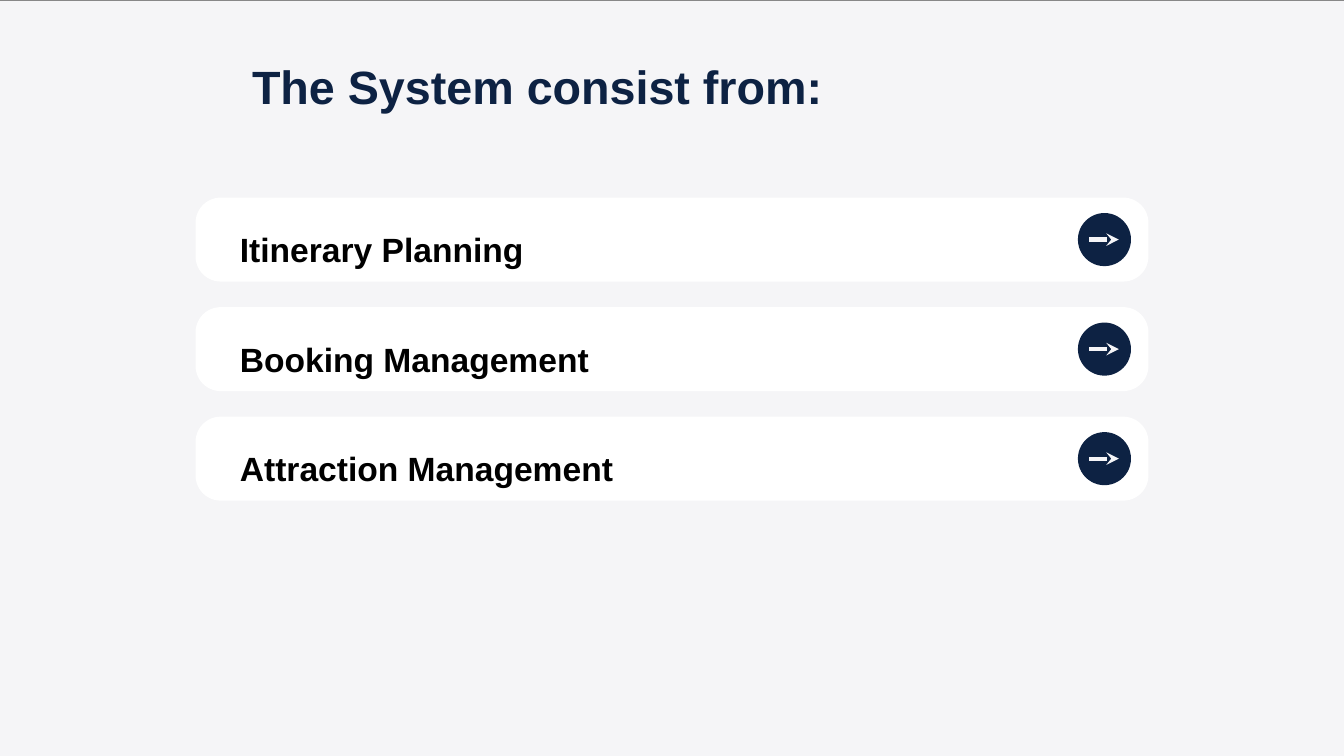
from dataclasses import dataclass

from pptx import Presentation
from pptx.dml.color import RGBColor
from pptx.enum.shapes import MSO_CONNECTOR, MSO_SHAPE
from pptx.enum.text import MSO_ANCHOR, MSO_AUTO_SIZE, PP_ALIGN
from pptx.oxml.ns import qn
from pptx.shapes.autoshape import Shape
from pptx.slide import Slide
from pptx.text.text import TextFrame
from pptx.util import Inches, Pt
from lxml.etree import SubElement

COLORS = {
    "back": "F5F5F7",
    "edge": "888888",
    "card": "FFFFFF",
    "navy": "0D2243",
    "text": "000000",
}
TOP, STEP = 2.94, 1.63  # first card and distance between cards
HIGH, DISC = 1.25, 0.79


@dataclass
class Card:
    label: str
    width: float


CARDS = [
    Card("Itinerary Planning", 9.41),
    Card("Booking Management", 6.21),
    Card("Attraction Management", 6.43),
]


def color(name: str) -> RGBColor:
    return RGBColor.from_string(COLORS[name])


def write(frame: TextFrame, text: str, size: int, ink: str, space: float,
          align: PP_ALIGN = PP_ALIGN.LEFT) -> None:
    frame.margin_left = frame.margin_right = 0
    frame.margin_top = frame.margin_bottom = 0
    frame.word_wrap = True
    frame.auto_size = MSO_AUTO_SIZE.NONE
    frame.vertical_anchor = MSO_ANCHOR.TOP
    para = frame.paragraphs[0]
    para.text = text
    para.alignment = align
    para.line_spacing = space
    para.font.name = "Arial"
    para.font.size = Pt(size)
    para.font.bold = True
    para.font.color.rgb = color(ink)


def add_form(slide: Slide, kind: MSO_SHAPE, left: float, top: float,
             width: float, height: float, fill: str) -> Shape:
    form = slide.shapes.add_shape(
        kind, Inches(left), Inches(top), Inches(width), Inches(height))
    form.shadow.inherit = False
    form.fill.solid()
    form.fill.fore_color.rgb = color(fill)
    form.line.fill.background()
    return form


def add_arrow(slide: Slide, left: float, right: float, y: float) -> None:
    arrow = slide.shapes.add_connector(
        MSO_CONNECTOR.STRAIGHT, Inches(left), Inches(y), Inches(right), Inches(y))
    arrow.line.color.rgb = color("back")
    arrow.line.width = Pt(4.5)
    SubElement(arrow.line._get_or_add_ln(), qn("a:tailEnd"), type="stealth")
    SubElement(arrow._element.spPr, qn("a:effectLst"))


def add_card(slide: Slide, card: Card, top: float) -> None:
    mid = top + HIGH / 2
    body = add_form(slide, MSO_SHAPE.ROUNDED_RECTANGLE, 2.91, top, 14.18, HIGH, "card")
    body.adjustments[0] = 0.3
    box = slide.shapes.add_textbox(
        Inches(3.57), Inches(top + 0.35), Inches(card.width), Inches(0.73))
    write(box.text_frame, card.label, 36, "text", 1.2)

    # Arrow button
    add_form(slide, MSO_SHAPE.OVAL, 16.04, mid - DISC / 2, DISC, DISC, "navy")
    add_arrow(slide, 16.21, 16.65, mid)


def main() -> None:
    deck = Presentation()
    deck.slide_width, deck.slide_height = Inches(20), Inches(11.25)
    slide = deck.slides.add_slide(deck.slide_layouts[5])

    # Background and outlined panel, placed behind the title
    slide.background.fill.solid()
    slide.background.fill.fore_color.rgb = color("back")
    panel = add_form(slide, MSO_SHAPE.RECTANGLE, -0.22, 0, 20.27, 11.25, "back")
    panel.line.color.rgb = color("edge")
    panel.line.width = Pt(0.75)
    title = slide.shapes.title
    title._element.addprevious(panel._element)

    # Title
    title.left, title.top = Inches(3.44), Inches(1.02)
    title.width, title.height = Inches(9.31), Inches(0.67)
    write(title.text_frame, "The System consist from: ", 50, "navy", 0.8,
          PP_ALIGN.CENTER)

    # Cards
    for i, card in enumerate(CARDS):
        add_card(slide, card, TOP + i * STEP)

    deck.save("out.pptx")


if __name__ == "__main__":
    main()
